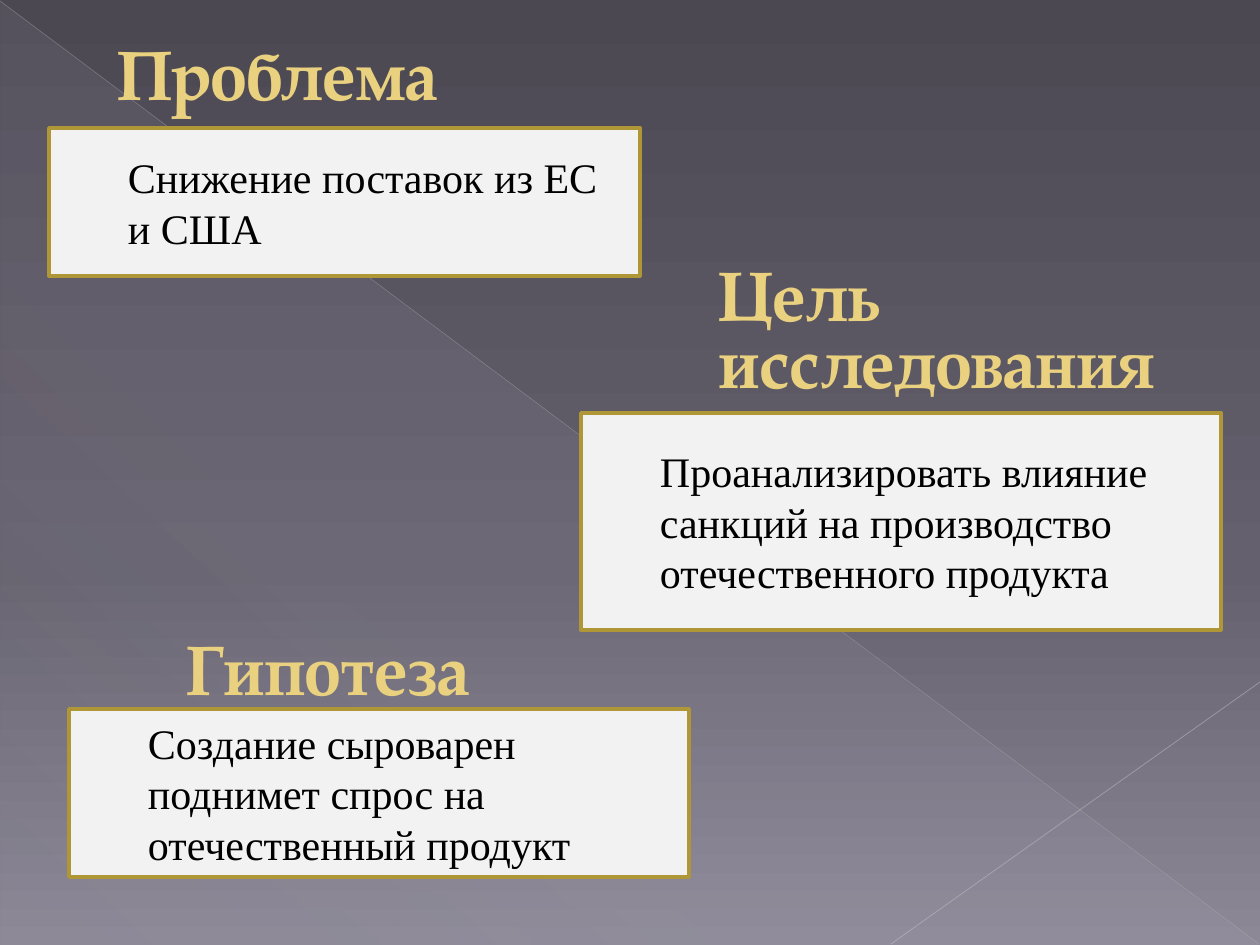
"""Build a slide with a problem, a research goal and a hypothesis."""
from dataclasses import dataclass

from lxml.etree import SubElement
from pptx import Presentation
from pptx.dml.color import RGBColor
from pptx.enum.shapes import MSO_CONNECTOR as Connector, MSO_SHAPE as Shape
from pptx.enum.text import MSO_ANCHOR as Anchor, PP_ALIGN as Align
from pptx.oxml import parse_xml
from pptx.oxml.ns import nsdecls, qn
from pptx.util import Pt

EMU_PER_PX = 914400 / 126


@dataclass(frozen=True)
class Theme:
    """Hold the colours, fonts and sizes of the slide."""
    backdrop: tuple = ((0, "4B4852", 100), (60, "64606D", 100), (100, "8C8896", 100))
    sheen: tuple = ((0, "C9C2D1", 10), (70, "C9C2D1", 8), (100, "C9C2D1", 1))
    long_ray: str = "C0BFC2"
    short_ray: str = "C7C6C8"
    panel: str = "F2F2F2"
    border: str = "AF9738"
    border_width: float = 2
    heading: str = "E9D17F"
    body: str = "000000"
    heading_font: str = "TeX Gyre Pagella"
    body_font: str = "Times New Roman"
    heading_size: float = 40
    body_size: float = 24


THEME = Theme()


def px(*lengths):
    """Turn picture pixels into EMU."""
    return [round(length * EMU_PER_PX) for length in lengths]


def apply_format(target, values):
    """Set each attribute in values on the target."""
    for attribute, value in values.items():
        setattr(target, attribute, value)


def gradient(stops, angle):
    """Return a linear gradient fill element."""
    marks = "".join(
        f'<a:gs pos="{place * 1000}"><a:srgbClr val="{colour}">'
        f'<a:alpha val="{opacity * 1000}"/></a:srgbClr></a:gs>'
        for place, colour, opacity in stops)
    return parse_xml(
        f'<a:gradFill {nsdecls("a")} rotWithShape="1"><a:gsLst>{marks}</a:gsLst>'
        f'<a:lin ang="{angle * 60000}" scaled="0"/></a:gradFill>')


def paint_backdrop(slide):
    """Fill the background and lay the faint triangle over it."""
    slide.background.fill.solid()
    solid = next(slide.background._cSld.iter(qn("a:solidFill")))
    solid.getparent().replace(solid, gradient(THEME.backdrop, 90))
    sheen = slide.shapes.add_shape(Shape.RIGHT_TRIANGLE, *px(1, 2, 1258, 943))
    sheen.shadow.inherit = False
    sheen.line.fill.background()
    sheen.fill.solid()
    solid = sheen._element.spPr.find(qn("a:solidFill"))
    solid.getparent().replace(solid, gradient(THEME.sheen, 133))


def add_ray(slide, ends, colour, width, opacity):
    """Draw a thin translucent line."""
    ray = slide.shapes.add_connector(Connector.STRAIGHT, *px(*ends))
    ray.line.width = Pt(width)
    ray.line.color.rgb = RGBColor.from_string(colour)
    tint = next(ray._element.spPr.iter(qn("a:srgbClr")))
    SubElement(tint, qn("a:alpha"), val=str(opacity * 1000))
    SubElement(ray._element.spPr, qn("a:effectLst"))


def write(frame, wording, colour, font_values, spacing=1.0, lift=0):
    """Write one indented paragraph, raised by lift pixels."""
    frame.text = wording
    left, edge, bottom = px(79, 6, 6 + 2 * lift)
    apply_format(frame, {
        "word_wrap": True, "vertical_anchor": Anchor.MIDDLE, "margin_left": left,
        "margin_right": px(12)[0], "margin_top": edge, "margin_bottom": bottom})
    paragraph = frame.paragraphs[0]
    apply_format(paragraph, {"alignment": Align.LEFT, "line_spacing": spacing})
    font = paragraph.runs[0].font
    apply_format(font, font_values)
    font.color.rgb = RGBColor.from_string(colour)


def add_heading(slide, wording, box, spacing, lift):
    """Add a golden heading."""
    heading = slide.shapes.add_textbox(*px(*box))
    write(heading.text_frame, wording, THEME.heading,
          {"name": THEME.heading_font, "size": Pt(THEME.heading_size), "bold": True},
          spacing, lift)


def add_panel(slide, wording, box):
    """Add a bordered panel with a statement."""
    panel = slide.shapes.add_shape(Shape.RECTANGLE, *px(*box))
    panel.shadow.inherit = False
    panel.fill.solid()
    panel.fill.fore_color.rgb = RGBColor.from_string(THEME.panel)
    panel.line.color.rgb = RGBColor.from_string(THEME.border)
    panel.line.width = Pt(THEME.border_width)
    write(panel.text_frame, wording, THEME.body,
          {"name": THEME.body_font, "size": Pt(THEME.body_size), "bold": False})


def main():
    """Build and save the slide."""
    deck = Presentation()
    deck.slide_width, deck.slide_height = px(1260, 945)
    slide = deck.slides.add_slide(deck.slide_layouts[6])
    paint_backdrop(slide)
    add_ray(slide, (0, 1, 1259, 944), THEME.long_ray, 0.39, 35)
    add_ray(slide, (1260, 682, 891, 944), THEME.short_ray, 0.47, 45)
    sections = (
        ("Цель исследования", (640, 256, 581, 246), 0.8, 44,
         "Проанализировать влияние санкций на производство отечественного продукта",
         (581, 413, 640, 217)),
        ("Проблема", (39, 29, 542, 88), 1.0, 0,
         "Снижение поставок из ЕС и США", (49, 128, 591, 148)),
        ("Гипотеза", (108, 581, 620, 256), 0.8, 34,
         "Создание сыроварен поднимет спрос на отечественный продукт",
         (69, 709, 620, 168)),
    )
    for title, title_box, spacing, lift, statement, panel_box in sections:
        add_panel(slide, statement, panel_box)
        add_heading(slide, title, title_box, spacing, lift)
    deck.save("out.pptx")


main()
